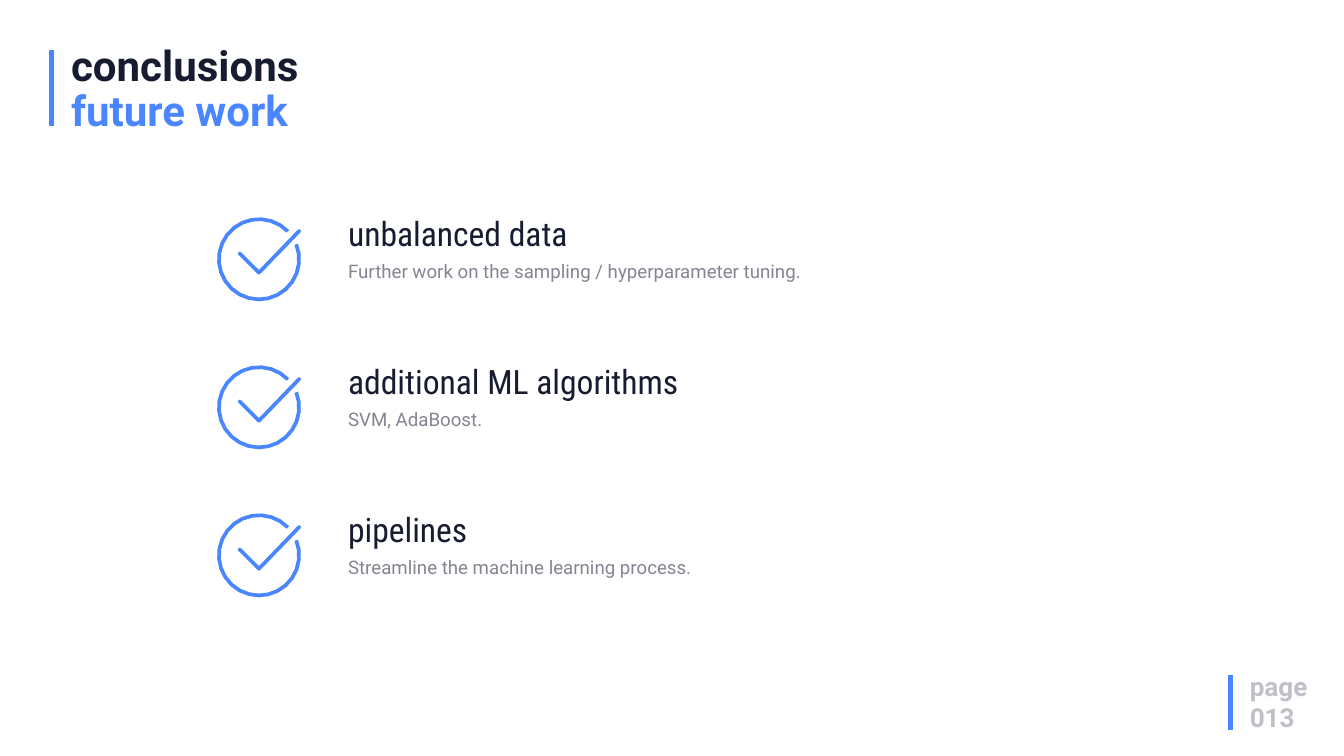
from math import cos, radians, sin

from lxml.etree import SubElement
from pptx import Presentation
from pptx.dml.color import RGBColor as RGB
from pptx.enum.shapes import MSO_CONNECTOR as CONN
from pptx.enum.text import MSO_ANCHOR as ANCHOR, MSO_AUTO_SIZE as AUTO
from pptx.oxml.ns import qn
from pptx.util import Pt

COLORS = {"blue": "4A86FF", "ink": "171C30", "grey": "858591", "pale": "C0C0C8"}
ITEMS = [
    ("unbalanced data", "Further work on the sampling / hyperparameter tuning."),
    ("additional ML algorithms", "SVM, AdaBoost."),
    ("pipelines", "Streamline the machine learning process."),
]
ITEM_TOP, ITEM_STEP = 224.8, 158.6


def color(name):
    return RGB.from_string(COLORS[name])


def arc(cx, cy, r, start, end, parts=3):
    """Points along an arc, in degrees clockwise from the right."""
    angles = [radians(start + (end - start) * i / parts) for i in range(parts + 1)]
    return [(cx + r * cos(a), cy + r * sin(a)) for a in angles]


def ring_outline(size=90, width=4, start=-22, end=316, parts=24):
    """Open ring with blunt ends."""
    c = size / 2
    return (arc(c, c, c, start, end, parts)
            + arc(c, c, c - width, end, start, parts))


def tick_outline(half=2):
    """Check mark with round ends."""
    return (arc(24.3, 38.8, half, 135, 315)
            + [(45, 59.3 - half * 2 ** 0.5)]
            + arc(88, 14.8, half, 225, 405)
            + arc(45, 59.3, half, 45, 135, 2))


def write_text(box, paragraphs, size, font="Roboto", bold=False,
               anchor=ANCHOR.TOP, spacing=None):
    """Each paragraph is a list of (text, color) runs, one run to a line."""
    tf = box.text_frame
    tf.word_wrap = True
    tf.auto_size = AUTO.SHAPE_TO_FIT_TEXT
    tf.vertical_anchor = anchor
    for i, runs in enumerate(paragraphs):
        p = tf.add_paragraph() if i else tf.paragraphs[0]
        p.line_spacing = spacing
        for j, (words, tone) in enumerate(runs):
            if j:
                p.add_line_break()
            r = p.add_run()
            r.text = words
            r.font.name, r.font.size, r.font.bold = font, Pt(size), bold
            r.font.color.rgb = color(tone)


class Deck:
    def __init__(self, width, height):
        self.prs = Presentation()
        self.prs.slide_width, self.prs.slide_height = Pt(width), Pt(height)
        self.s = self.prs.slides.add_slide(self.prs.slide_layouts[6])

    def bar(self, x, top, bottom):
        line = self.s.shapes.add_connector(CONN.STRAIGHT, Pt(x), Pt(top), Pt(x), Pt(bottom))
        line.line.color.rgb = color("blue")
        line.line.width = Pt(5)
        SubElement(line._element.spPr, qn("a:effectLst"))

    def text(self, x, y, w, h, paragraphs, size, shapes=None, **style):
        shapes = shapes or self.s.shapes
        box = shapes.add_textbox(Pt(x), Pt(y), Pt(w), Pt(h))
        write_text(box, paragraphs, size, **style)

    def check_icon(self, x, y, shapes):
        tick, ring = ([(Pt(px), Pt(py)) for px, py in outline]
                      for outline in (tick_outline(), ring_outline()))
        fb = shapes.build_freeform(*tick[0])
        fb.add_line_segments(tick[1:])
        fb.move_to(*ring[0])
        fb.add_line_segments(ring[1:])
        sp = fb.convert_to_shape(Pt(x), Pt(y))
        sp.shadow.inherit = False
        sp.fill.solid()
        sp.fill.fore_color.rgb = color("blue")
        sp.line.fill.background()

    def item(self, y, heading, detail):
        shapes = self.s.shapes.add_group_shape().shapes
        self.check_icon(232.5, y + 8, shapes)
        self.text(365.8, y, 723.6, 51, [[(heading, "ink")]], 36,
                  shapes=shapes, font="Roboto Condensed")
        self.text(365.8, y + 50, 841.7, 31.7, [[(detail, "grey")]], 20, shapes=shapes)


def main():
    deck = Deck(1440, 810)

    # Title
    deck.bar(55.4, 54, 135.4)
    deck.text(69.1, 44.6, 429, 105, [[("conclusions", "ink"), ("future work", "blue")]],
              45, bold=True, anchor=ANCHOR.MIDDLE, spacing=0.9)

    # Page number
    deck.bar(1318.3, 723.6, 782)
    deck.text(1332, 714.5, 136.8, 74.9, [[("page", "pale")], [("013", "pale")]],
              28, bold=True)

    # Checked items
    for i, (heading, detail) in enumerate(ITEMS):
        deck.item(ITEM_TOP + i * ITEM_STEP, heading, detail)

    deck.prs.save("out.pptx")


if __name__ == "__main__":
    main()
